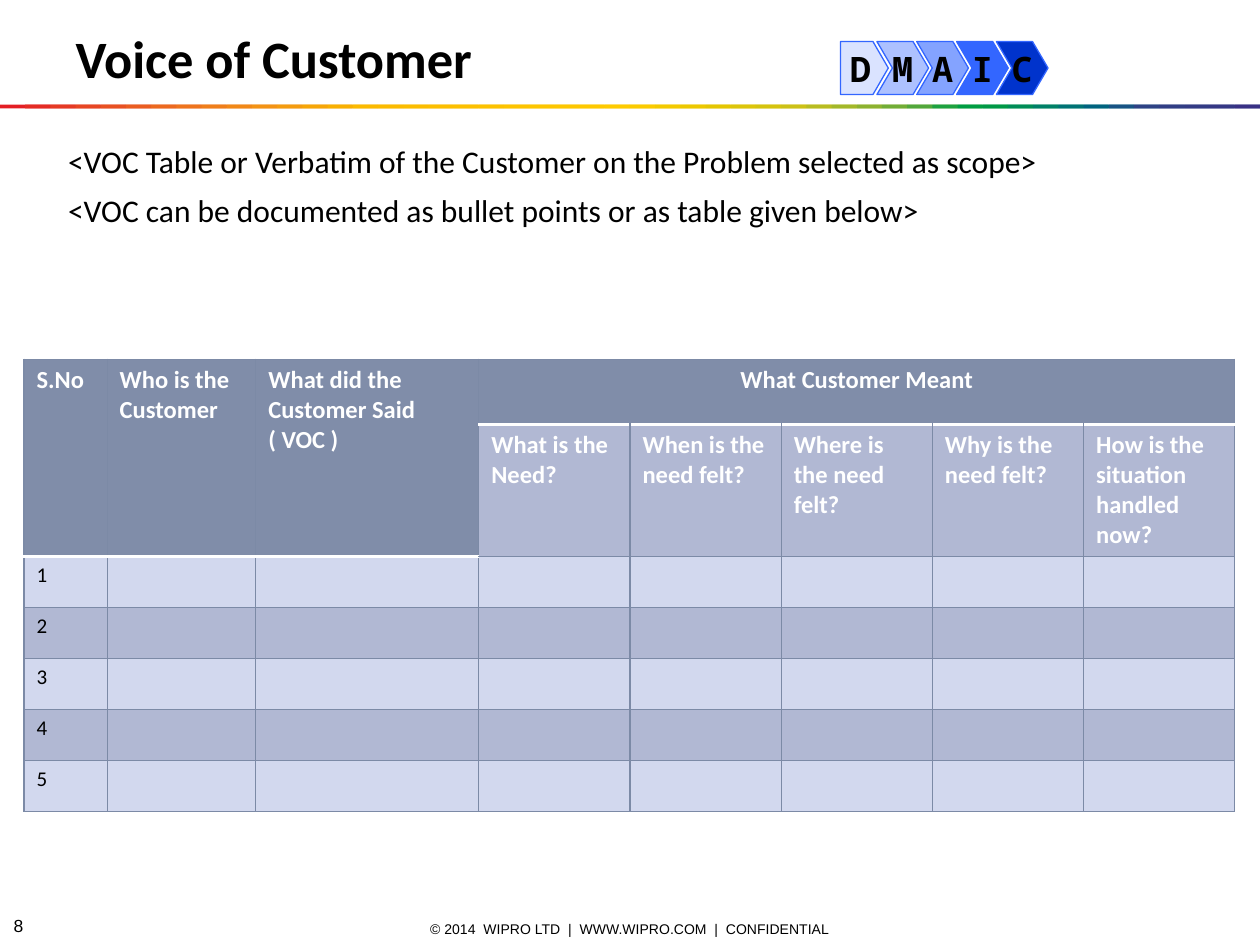
from dataclasses import dataclass
from typing import Any, Optional

import lxml.etree
import pptx
import pptx.dml.color
import pptx.enum.shapes
import pptx.enum.text
import pptx.oxml.ns
import pptx.util

RGBColor = pptx.dml.color.RGBColor
Align = pptx.enum.text.PP_ALIGN
Anchor = pptx.enum.text.MSO_ANCHOR
Preset = pptx.enum.shapes.MSO_SHAPE

SLIDE_WIDTH = pptx.util.Inches(10)
SLIDE_HEIGHT = pptx.util.Inches(7.5)

BLACK = RGBColor(0x00, 0x00, 0x00)
WHITE = RGBColor(0xFF, 0xFF, 0xFF)
BLUE = RGBColor(0x33, 0x66, 0xFF)
DEEP_BLUE = RGBColor(0x00, 0x33, 0xCC)
HEADER_FILL = RGBColor(0x80, 0x8D, 0xA9)
DARK_BAND = RGBColor(0xB1, 0xB8, 0xD3)
LIGHT_BAND = RGBColor(0xD2, 0xD8, 0xEE)
GRID_LINE = RGBColor(0x7C, 0x8A, 0xA6)
RAINBOW = tuple(RGBColor.from_string(code) for code in """
    E31E24 E42C24 E53A24 E74623 E85122 EA5D21 EC691F EE741D EF7E1A F18817
    F39314 F49C0F F6A607 F8B002 FBBA00 FBBB00 FBBD00 FCBF00 FCC000 FCC200
    FDC400 FDC600 FDC700 FEC900 FECB00 FBCB00 F3CA00 ECC800 E4C602 DCC50A
    D5C30E CCC117 B8BC21 A3B829 8CB230 71AD36 51A73B 1DA240 009D43 009846
    008C57 008068 007275 00637F 185384 2E4285 313E85 333B85 353885 393185
""".split())


@dataclass
class Frame:
    """Percentages of the slide's width and height."""
    left: float
    top: float
    width: float
    height: float

    def place(self) -> tuple[int, int, int, int]:
        return (across(self.left), down(self.top),
                across(self.width), down(self.height))


@dataclass
class TextStyle:
    name: str
    size: float
    color: RGBColor = BLACK
    bold: bool = False
    alignment: Any = Align.LEFT


@dataclass
class Phase:
    letter: str
    frame: Frame
    preset: Any
    point: float
    color: RGBColor
    opacity: int = 100


TITLE = TextStyle("Calibri", 30, bold=True)
BODY = TextStyle("Calibri", 18)
FOOTER = TextStyle("Arial", 8, alignment=Align.CENTER)
PAGE_NUMBER = TextStyle("Arial", 10)
LETTER = TextStyle("Noto Sans Mono", 20, bold=True, alignment=Align.CENTER)
HEADER = TextStyle("Calibri", 14, WHITE, True)
SPANNING_HEADER = TextStyle("Calibri", 14, WHITE, True, Align.CENTER)
ROW_NUMBER = TextStyle("Calibri", 12)

CHEVRONS = [("M", BLUE, 40), ("A", BLUE, 60), ("I", BLUE, 100),
            ("C", DEEP_BLUE, 100)]
PHASES = [
    Phase(letter, Frame(69.6 + 3.16 * step, 4.4, 4.1, 5.6),
          Preset.CHEVRON, 0.3, color, opacity)
    for step, (letter, color, opacity) in enumerate(CHEVRONS)
] + [Phase("D", Frame(66.7, 4.4, 3.8, 5.6), Preset.PENTAGON, 0.32, BLUE, 18)]

TABLE_FRAME = Frame(1.9, 38, 96.1, 47.9)
COLUMN_WIDTHS = [6.6, 11.8, 17.7] + [12] * 5
ROW_HEIGHTS = [6.9, 14] + [5.4] * 5
LEFT_HEADERS = ["S.No", "Who is the Customer",
                "What did the Customer Said ( VOC )"]
NEED_HEADERS = ["What is the Need?", "When is the need felt?",
                "Where is the need felt?", "Why is the need felt?",
                "How is the situation handled now?"]


def across(percent: float) -> int:
    return round(SLIDE_WIDTH * percent / 100)


def down(percent: float) -> int:
    return round(SLIDE_HEIGHT * percent / 100)


def apply_format(target: Any, values: dict[str, Any]) -> None:
    for name, value in values.items():
        setattr(target, name, value)


def write(text_frame: Any, lines: list[str], style: TextStyle,
          gap: Optional[float] = None) -> None:
    for index, line in enumerate(lines):
        para = text_frame.add_paragraph() if index else text_frame.paragraphs[0]
        para.alignment = style.alignment
        para.space_before = pptx.util.Pt(gap if index and gap else 0)
        span = para.add_run()
        span.text = line
        apply_format(span.font, {"name": style.name, "bold": style.bold,
                                 "size": pptx.util.Pt(style.size)})
        span.font.color.rgb = style.color


def add_text(page: Any, frame: Frame, lines: list[str], style: TextStyle,
             layout: dict[str, Any], gap: Optional[float] = None) -> None:
    box = page.shapes.add_textbox(*frame.place())
    apply_format(box.text_frame, {"word_wrap": True, **layout})
    write(box.text_frame, lines, style, gap)


def add_filled(group: Any, preset: Any, frame: Frame, color: RGBColor) -> Any:
    shape = group.shapes.add_shape(preset, *frame.place())
    shape.shadow.inherit = False
    shape.fill.solid()
    shape.fill.fore_color.rgb = color
    return shape


def add_rainbow(page: Any) -> None:
    group = page.shapes.add_group_shape()
    step = 100 / len(RAINBOW)
    for index, color in enumerate(RAINBOW):
        left = index * step
        frame = Frame(left, 11.07, min(2 * step, 100 - left), 0.4)
        add_filled(group, Preset.RECTANGLE, frame, color).line.fill.background()


def add_phase(group: Any, phase: Phase) -> None:
    shape = add_filled(group, phase.preset, phase.frame, phase.color)
    shape.adjustments[0] = phase.point
    shape.line.color.rgb = BLUE
    shape.line.width = pptx.util.Pt(0.75)
    if phase.opacity < 100:
        color = shape.fill._xPr.find(".//" + pptx.oxml.ns.qn("a:srgbClr"))
        lxml.etree.SubElement(color, pptx.oxml.ns.qn("a:alpha"),
                              val=str(phase.opacity * 1000))
    apply_format(shape.text_frame, {"word_wrap": False,
                                    "vertical_anchor": Anchor.MIDDLE})
    write(shape.text_frame, [phase.letter], LETTER)


def add_border(cell: Any, side: str, color: RGBColor, points: float) -> None:
    line = lxml.etree.SubElement(cell._tc.get_or_add_tcPr(),
                                 pptx.oxml.ns.qn("a:ln" + side),
                                 w=str(pptx.util.Pt(points)))
    fill = lxml.etree.SubElement(line, pptx.oxml.ns.qn("a:solidFill"))
    lxml.etree.SubElement(fill, pptx.oxml.ns.qn("a:srgbClr"), val=str(color))


def format_cell(cell: Any, row: int, column: int) -> None:
    in_left = column < len(LEFT_HEADERS)
    white_sides = {"T": row == (2 if in_left else 1),
                   "B": row == 0 or (row == 1 and in_left)}
    for side in "LRTB":
        if white_sides.get(side):
            add_border(cell, side, WHITE, 2)
        else:
            add_border(cell, side, GRID_LINE, 0.75)
    is_header = row == 0 or (row == 1 and in_left)
    cell.fill.solid()
    cell.fill.fore_color.rgb = (HEADER_FILL if is_header else
                                DARK_BAND if row % 2 else LIGHT_BAND)


def add_voice_table(page: Any) -> None:
    table = page.shapes.add_table(len(ROW_HEIGHTS), len(COLUMN_WIDTHS),
                                  *TABLE_FRAME.place()).table
    table.horz_banding = False
    for column, width in zip(table.columns, COLUMN_WIDTHS):
        column.width = across(width)
    for row, height in zip(table.rows, ROW_HEIGHTS):
        row.height = down(height)
    for row in range(len(ROW_HEIGHTS)):
        for column in range(len(COLUMN_WIDTHS)):
            format_cell(table.cell(row, column), row, column)
    first_need = len(LEFT_HEADERS)
    for column, text in enumerate(LEFT_HEADERS):
        table.cell(0, column).merge(table.cell(1, column))
        write(table.cell(0, column).text_frame, [text], HEADER)
    table.cell(0, first_need).merge(table.cell(0, len(COLUMN_WIDTHS) - 1))
    write(table.cell(0, first_need).text_frame, ["What Customer Meant"],
          SPANNING_HEADER)
    for column, text in enumerate(NEED_HEADERS, first_need):
        write(table.cell(1, column).text_frame, [text], HEADER)
    for row in range(2, len(ROW_HEIGHTS)):
        write(table.cell(row, 0).text_frame, [str(row - 1)], ROW_NUMBER)


def main() -> None:
    deck = pptx.Presentation()
    apply_format(deck, {"slide_width": SLIDE_WIDTH,
                        "slide_height": SLIDE_HEIGHT})
    page = deck.slides.add_slide(deck.slide_layouts[5])
    middle = {"vertical_anchor": Anchor.MIDDLE}
    add_text(page, Frame(32, 97.3, 36, 2.1),
             ["© 2014  WIPRO LTD  |  WWW.WIPRO.COM  |  CONFIDENTIAL"],
             FOOTER, middle)
    add_text(page, Frame(0.1, 96.9, 3.9, 2.1), ["8"], PAGE_NUMBER, middle)
    add_rainbow(page)
    title = page.shapes.title
    places = Frame(5, 2.13, 90, 8.13).place()
    apply_format(title, dict(zip(("left", "top", "width", "height"), places)))
    apply_format(title.text_frame, {
        "vertical_anchor": Anchor.TOP, "word_wrap": True,
        "auto_size": pptx.enum.text.MSO_AUTO_SIZE.NONE})
    write(title.text_frame, ["Voice of Customer"], TITLE)
    inset = pptx.util.Inches(0.05)
    add_text(page, Frame(4.9, 14.4, 90.1, 15.5),
             ["<VOC Table or Verbatim of the Customer on the Problem selected as scope>",
              "<VOC can be documented as bullet points or as table given below>"],
             BODY, {"margin_left": inset, "margin_right": inset}, gap=6)
    group = page.shapes.add_group_shape()
    for phase in PHASES:
        add_phase(group, phase)
    add_voice_table(page)
    deck.save("out.pptx")


if __name__ == "__main__":
    main()
